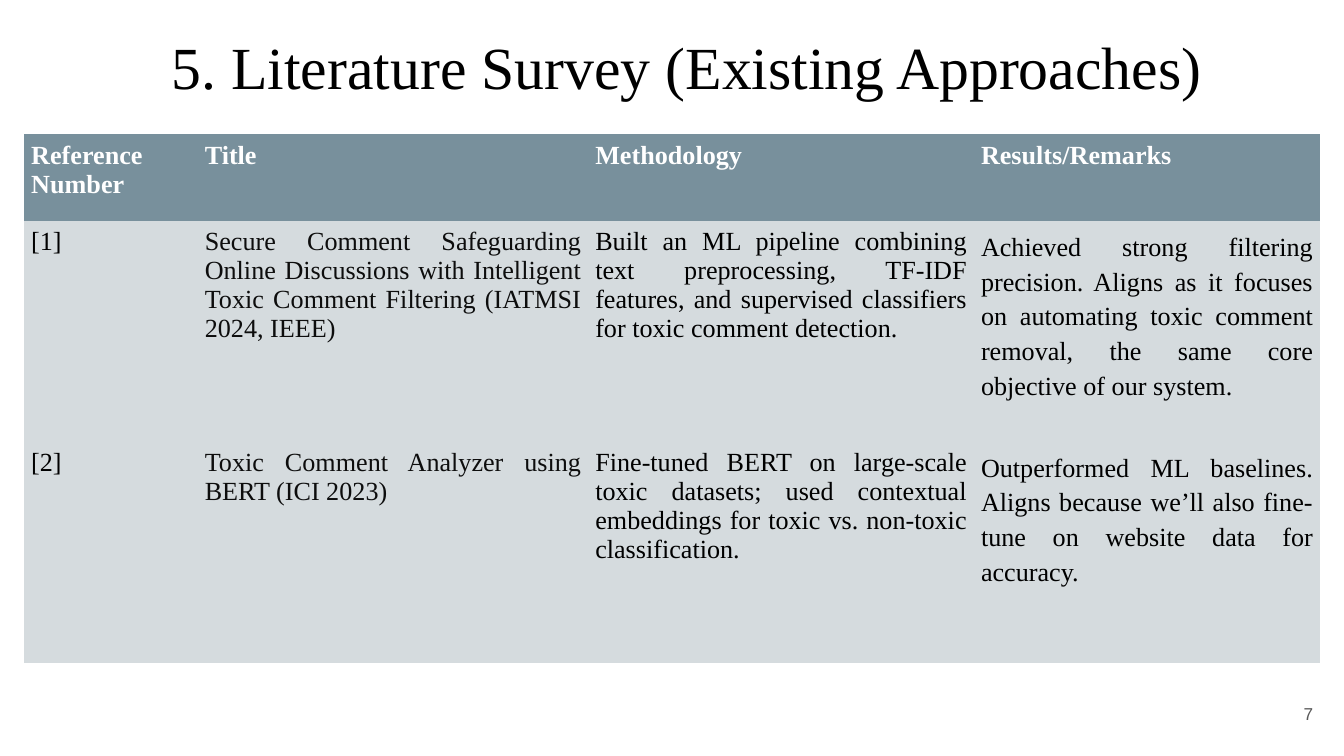
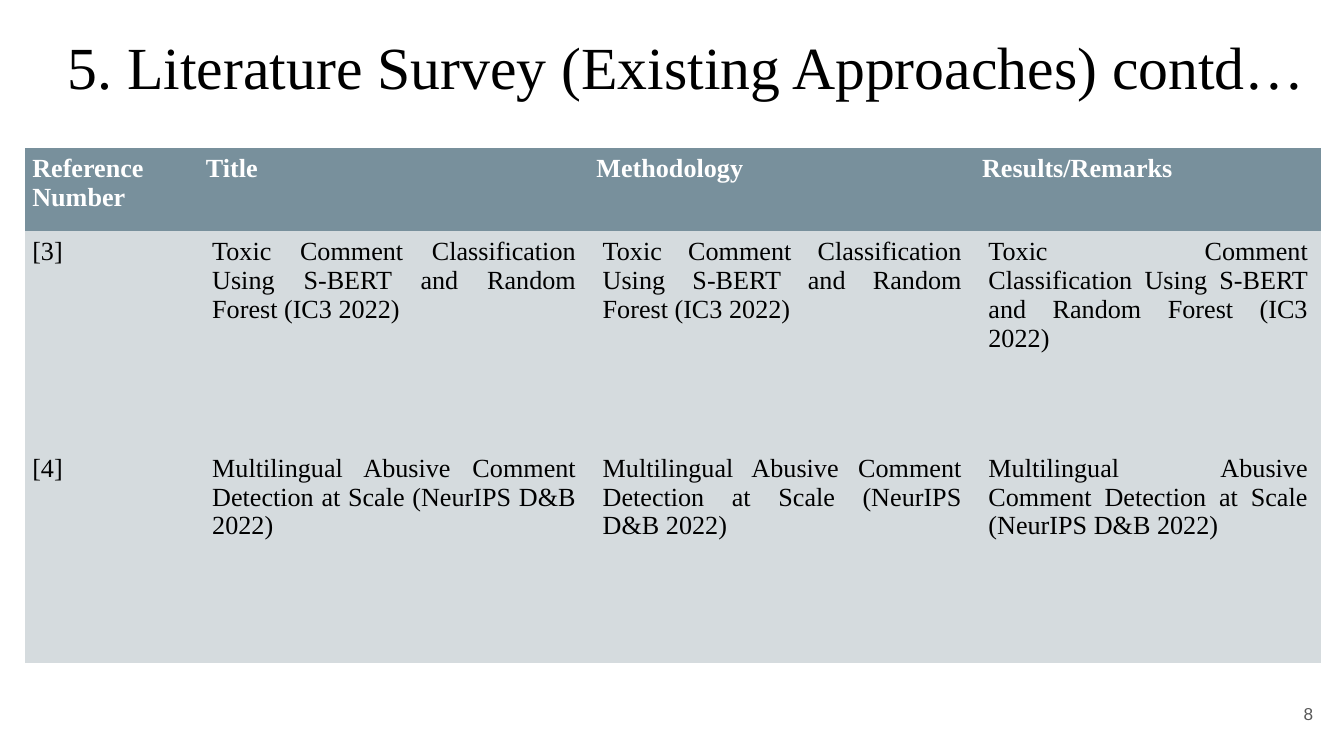
from pptx import Presentation, util as u
from pptx.dml.color import RGBColor
from pptx.enum import text as t

Cm, Pt = u.Cm, u.Pt
HUES = {"head": "78909C", "body": "D5DBDE", "white": "FFFFFF",
        "black": "000000", "ink": "0D0D0D", "grey": "585858"}
SERIF, SANS = "Times New Roman", "Arial"
PLAIN = "{2D5ABB26-0587-4C30-8999-92F81FD0307C}"  # table style without grid
TITLE = "5. Literature Survey (Existing Approaches)"
HEADS = ["Reference Number", "Title", "Methodology", "Results/Remarks"]
COLS = [3.28, 7.38, 7.29, 6.54]
SLIM, WIDE = 0.13, 0.25  # text insets in cm


class Deck:
    """Holds the shared style and the current slide."""

    def __init__(self):
        self.prs = Presentation()
        self.prs.slide_width, self.prs.slide_height = Cm(25.4), Cm(14.29)
        self.slide = None

    def new(self):
        self.slide = self.prs.slides.add_slide(self.prs.slide_layouts[6])

    def style(self, para, size, hue, align, face=SERIF, bold=False, gap=None):
        para.alignment = align
        if gap:
            para.line_spacing = gap
        for run in para.runs:
            font = run.font
            font.size, font.name, font.bold = Pt(size), face, bold
            font.color.rgb = RGBColor.from_string(HUES[hue])

    def box(self, words, place, inset):
        frame = self.slide.shapes.add_textbox(*map(Cm, place)).text_frame
        frame.word_wrap = True
        frame.margin_left = frame.margin_right = Cm(inset)
        frame.margin_top = frame.margin_bottom = Cm(inset)
        frame.text = words
        return frame

    def title(self, words, left, width):
        frame = self.box(words, (left, 0.43, width, 1.63), SLIM)
        frame.auto_size = t.MSO_AUTO_SIZE.SHAPE_TO_FIT_TEXT
        self.style(frame.paragraphs[0], 32, "black", t.PP_ALIGN.CENTER)

    def number(self, num):
        frame = self.box(str(num), (24.13, 13.06, 0.94, 0.89), WIDE)
        frame.vertical_anchor = t.MSO_ANCHOR.MIDDLE
        self.style(frame.paragraphs[0], 9.2, "grey", t.PP_ALIGN.RIGHT, SANS, gap=0.9)

    def cell(self, cell, words, fill, hue, inset=SLIM, bold=False, gap=None):
        cell.fill.solid()
        cell.fill.fore_color.rgb = RGBColor.from_string(HUES[fill])
        cell.margin_left = cell.margin_right = Cm(inset)
        cell.margin_top = cell.margin_bottom = Cm(SLIM)
        cell.text = words
        self.style(cell.text_frame.paragraphs[0], 14, hue, t.PP_ALIGN.JUSTIFY,
                   bold=bold, gap=gap)

    def table(self, left, top, highs, rows, inset=SLIM, ink="black", gap=None):
        """ink colours the Title column; gap spaces the lines of the last one."""
        grid = self.slide.shapes.add_table(
            len(highs), len(COLS), Cm(left), Cm(top),
            Cm(sum(COLS)), Cm(sum(highs))).table
        grid.horz_banding = False
        grid._tbl.tblPr.find("{*}tableStyleId").text = PLAIN
        for col, width in zip(grid.columns, COLS):
            col.width = Cm(width)
        for row, high in zip(grid.rows, highs):
            row.height = Cm(high)
        for c, head in enumerate(HEADS):
            self.cell(grid.cell(0, c), head, "head", "white", bold=True)
        for r, row in enumerate(rows, 1):
            for c, words in enumerate(row):
                self.cell(grid.cell(r, c), words, "body",
                          ink if c == 1 else "black",
                          inset if c else SLIM,
                          gap=gap if c == 3 else None)


def main():
    deck = Deck()

    # First survey slide
    deck.new()
    deck.title(TITLE, 2.74, 20.5)
    deck.table(0.46, 2.54, [1.63, 4.17, 4.2], [
        ["[1]",
         "Secure Comment Safeguarding Online Discussions with Intelligent "
         "Toxic Comment Filtering (IATMSI 2024, IEEE)",
         "Built an ML pipeline combining text preprocessing, TF-IDF features, "
         "and supervised classifiers for toxic comment detection.",
         "Achieved strong filtering precision. Aligns as it focuses on "
         "automating toxic comment removal, the same core objective of our system."],
        ["[2]",
         "Toxic Comment Analyzer using BERT (ICI 2023)",
         "Fine-tuned BERT on large-scale toxic datasets; used contextual "
         "embeddings for toxic vs. non-toxic classification.",
         "Outperformed ML baselines. Aligns because we’ll also fine-tune on "
         "website data for accuracy."],
    ], ink="ink", gap=1.2)
    deck.number(7)

    # Second survey slide: each paper's name fills all three columns
    papers = {
        "[3]": "Toxic Comment Classification Using S-BERT and Random Forest (IC3 2022)",
        "[4]": "Multilingual Abusive Comment Detection at Scale (NeurIPS D&B 2022)",
    }
    deck.new()
    deck.table(0.48, 2.79, [1.57, 4.09, 4.09],
               [[ref] + [name] * 3 for ref, name in papers.items()], inset=WIDE)
    deck.number(8)
    deck.title(TITLE + " contd…", 1.02, 23.93)

    deck.prs.save("out.pptx")


if __name__ == "__main__":
    main()
